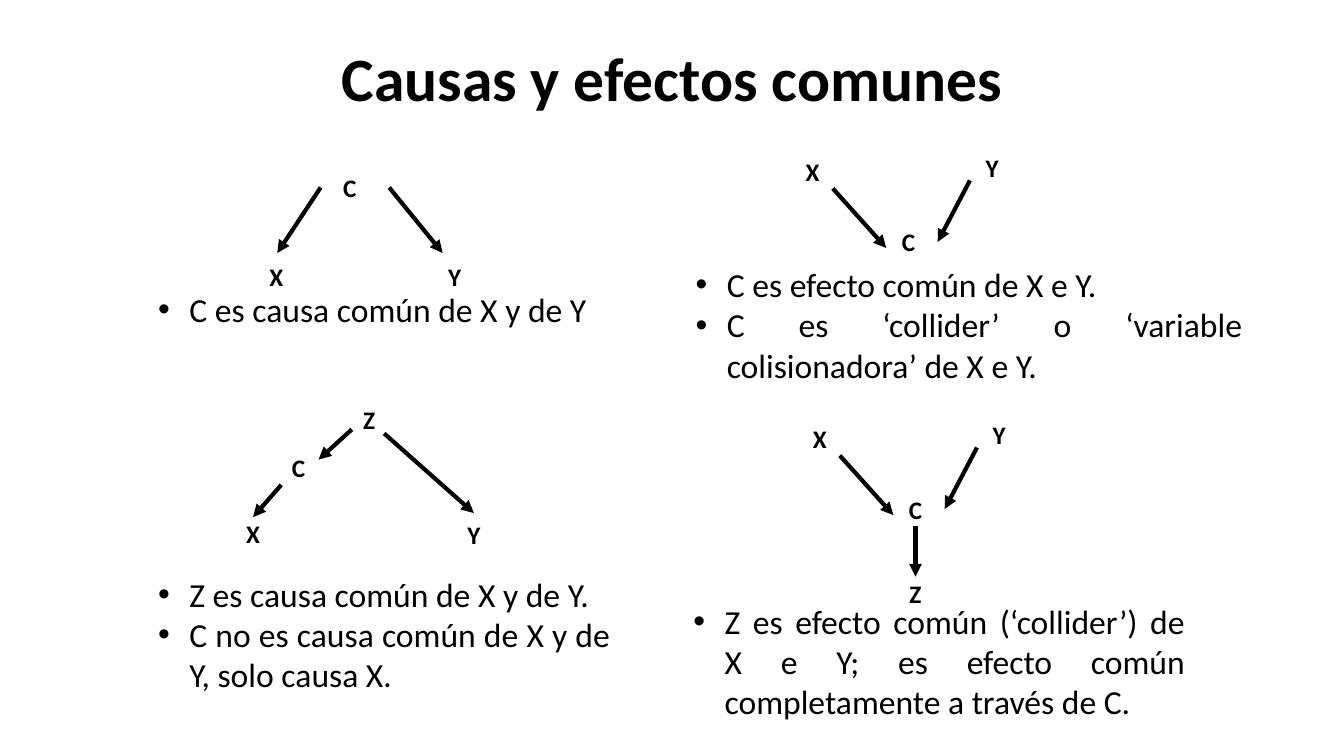
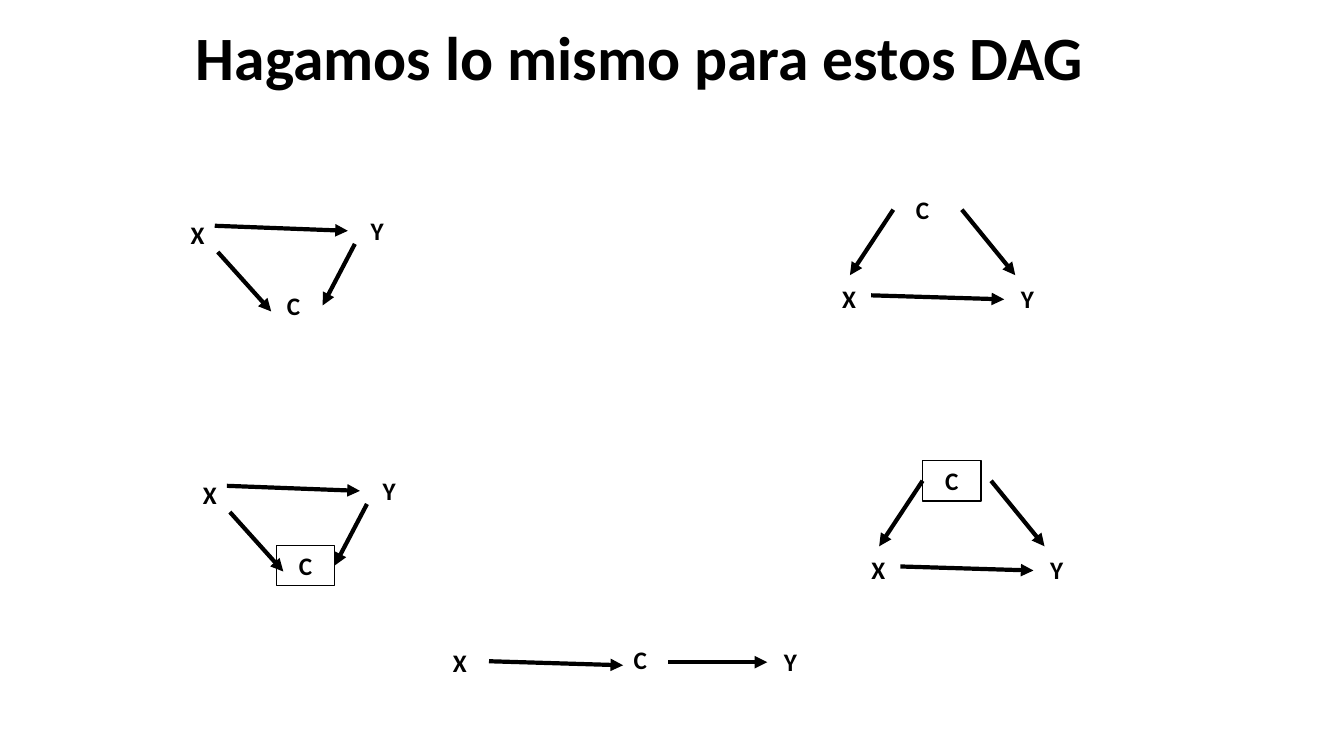
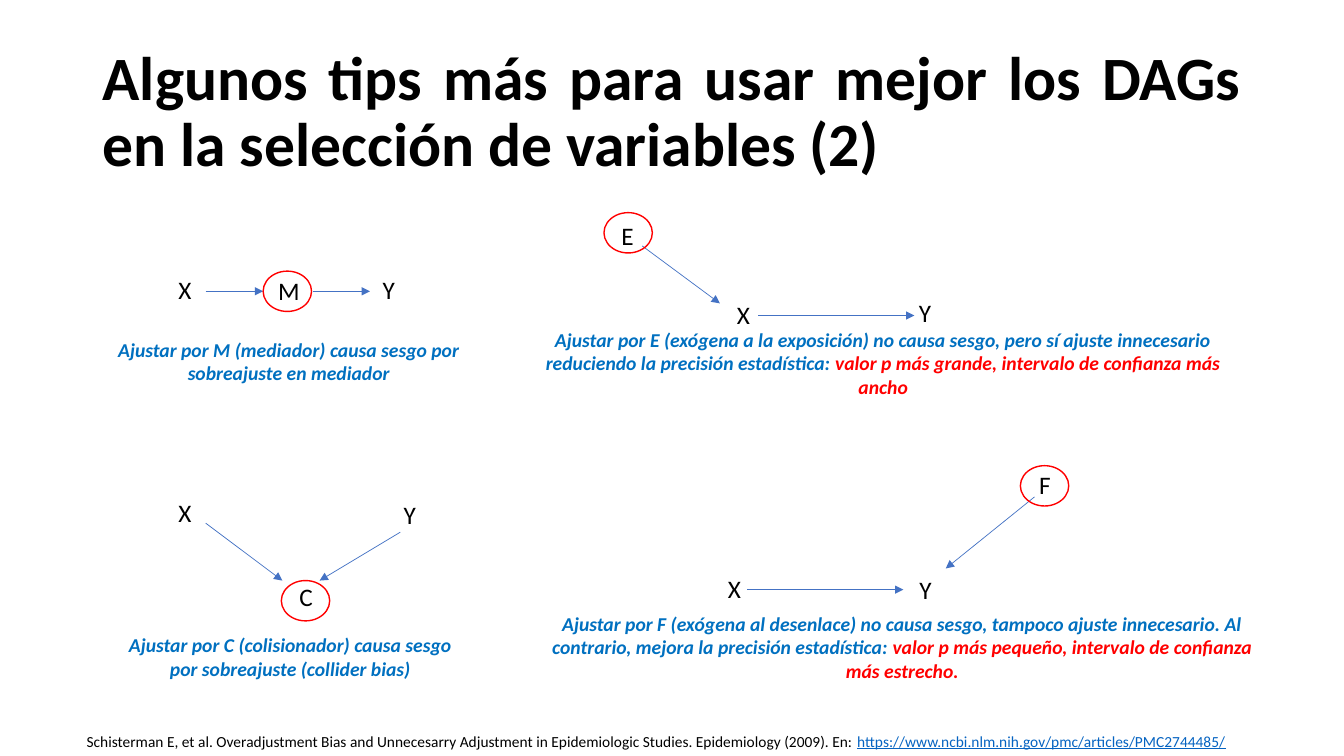
"""Build three slides on causal diagrams: common causes, common effects and adjustment."""
import pptx
import pptx.util
import pptx.dml.color
import pptx.enum.shapes
import pptx.enum.text
import pptx.oxml
import pptx.oxml.ns

PX = 9144
FONT = "Calibri"
BLACK, WHITE, RED = "000000", "FFFFFF", "FF0000"
BLUE, NOTE, LINK = "4472C4", "0070C0", "0563C1"
LABEL_W, LABEL_H = 58, 40
ALIGN = pptx.enum.text.PP_ALIGN
SHAPE = pptx.enum.shapes.MSO_SHAPE
rgb = pptx.dml.color.RGBColor.from_string
qn = pptx.oxml.ns.qn


def add_text(s, box, paras, size=18, bold=False, italic=False, align=ALIGN.CENTER, bullet=False):
    sp = s.shapes.add_textbox(*[v * PX for v in box])
    tf = sp.text_frame
    tf.word_wrap = True
    tf.auto_size = pptx.enum.text.MSO_AUTO_SIZE.SHAPE_TO_FIT_TEXT
    for i, runs in enumerate(paras):
        p = tf.paragraphs[0] if i == 0 else tf.add_paragraph()
        p.alignment = align
        if bullet:
            pPr = p._p.get_or_add_pPr()
            pPr.set("marL", str(31 * PX))
            pPr.set("indent", str(-31 * PX))
            pPr.append(pPr.makeelement(qn("a:buFont"), {"typeface": "Arial"}))
            pPr.append(pPr.makeelement(qn("a:buChar"), {"char": "•"}))
        for text, color in runs:
            r = p.add_run()
            r.text = text
            r.font.name = FONT
            r.font.size = pptx.util.Pt(size)
            r.font.bold = bold
            r.font.italic = italic
            r.font.color.rgb = rgb(color)
            if color == LINK:
                r.font.underline = True
    return sp


def add_arrow(s, x1, y1, x2, y2, color=BLACK, width=3):
    cx = s.shapes.add_connector(
        pptx.enum.shapes.MSO_CONNECTOR.STRAIGHT, x1 * PX, y1 * PX, x2 * PX, y2 * PX)
    cx.line.color.rgb = rgb(color)
    cx.line.width = pptx.util.Pt(width)
    ln = cx.line._get_or_add_ln()
    ln.append(ln.makeelement(qn("a:tailEnd"), {"type": "triangle"}))
    spPr = cx._element.spPr
    spPr.append(spPr.makeelement(qn("a:effectLst"), {}))


prs = pptx.Presentation()
prs.slide_width = 1333 * PX
prs.slide_height = 750 * PX

titles = [
    ("Causas y efectos comunes", 92, 8, ALIGN.CENTER),
    ("Hagamos lo mismo para estos DAG", 60, -12, ALIGN.CENTER),
    ("Algunos tips más para usar mejor los DAGs en la selección de variables (2)",
     92, 40, ALIGN.JUSTIFY),
]
slides = []
for title, x, y, align in titles:
    s = prs.slides.add_slide(prs.slide_layouts[6])
    sp = add_text(s, (x, y, 1150, 145), [[(title, BLACK)]], size=44, bold=True, align=align)
    tf = sp.text_frame
    tf.auto_size = pptx.enum.text.MSO_AUTO_SIZE.NONE
    tf.vertical_anchor = pptx.enum.text.MSO_ANCHOR.MIDDLE
    tf.paragraphs[0].line_spacing = 0.9
    slides.append(s)
common, practice, tips = slides

fork_nodes = [("C", 0, 0), ("X", -73, 88), ("Y", 104, 88)]
fork_arrows = [(0, 20, -43, 85), (68, 20, 121, 85)]
collider_nodes = [("C", 0, 0), ("X", -95, -70), ("Y", 83, -74)]
collider_arrows = [(-46, -33, 7, 26), (90, -41, 58, 20)]
fork_xy = fork_arrows + [(-22, 105, 110, 109)]
collider_xy = collider_arrows + [(-49, -59, 83, -54)]
split_nodes = [("C", 0, 0), ("X", -45, 65), ("Y", 174, 66), ("Z", 70, -48)]
split_arrows = [(12, 37, -16, 69), (114, -14, 203, 65), (82, -18, 49, 12)]
descent_nodes = collider_nodes + [("Z", 0, 84)]
descent_arrows = collider_arrows + [(29, 37, 29, 87)]
chain_nodes = [("C", 0, 0), ("X", -179, 3), ("Y", 149, 2)]
chain_arrows = [(57, 23, 155, 23), (-121, 22, 12, 26)]

graphs = [
    (common, 318, 166, fork_nodes, fork_arrows, False),
    (common, 872, 220, collider_nodes, collider_arrows, False),
    (common, 267, 444, split_nodes, split_arrows, False),
    (common, 879, 485, descent_nodes, descent_arrows, False),
    (practice, 886, 188, fork_nodes, fork_xy, False),
    (practice, 262, 283, collider_nodes, collider_xy, False),
    (practice, 915, 457, fork_nodes, fork_xy, True),
    (practice, 274, 541, collider_nodes, collider_xy, True),
    (practice, 606, 634, chain_nodes, chain_arrows, False),
]
for s, x, y, nodes, arrows, boxed in graphs:
    for name, dx, dy in nodes:
        sp = add_text(s, (x + dx, y + dy, LABEL_W, LABEL_H), [[(name, BLACK)]], bold=True)
        if boxed and name == "C":
            sp.fill.solid()
            sp.fill.fore_color.rgb = rgb(WHITE)
            sp.line.color.rgb = rgb(BLACK)
            sp.line.width = pptx.util.Pt(1)
    for x1, y1, x2, y2 in arrows:
        add_arrow(s, x + x1, y + y1, x + x2, y + y2)

bullets = [
    ((147, 282, 468, 50), ["C es causa común de X y de Y"]),
    ((680, 257, 562, 131), ["C es efecto común de X e Y.",
                            "C es ‘collider’ o ‘variable colisionadora’ de X e Y."]),
    ((147, 564, 468, 131), ["Z es causa común de X y de Y.",
                            "C no es causa común de X y de Y, solo causa X."]),
    ((678, 591, 507, 131), ["Z es efecto común (‘collider’) de X e Y; "
                            "es efecto común completamente a través de C."]),
]
for box, lines in bullets:
    add_text(common, box, [[(line, BLACK)] for line in lines],
             size=24, align=ALIGN.JUSTIFY, bullet=True)

labels = [
    ("X", 132, 267, 103), ("M", 235, 268, 103), ("Y", 334, 267, 103),
    ("X", 132, 488, 103), ("Y", 355, 490, 103), ("C", 252, 572, 103),
    ("E", 571, 214, 103), ("X", 686, 292, 103), ("Y", 889, 290, 57),
    ("F", 985, 461, 103), ("X", 677, 564, 103), ("Y", 896, 565, 44),
]
for name, x, y, w in labels:
    add_text(tips, (x, y, w, LABEL_H), [[(name, BLACK)]])

tip_arrows = [
    (204, 289, 261, 289), (310, 289, 367, 289),
    (204, 519, 280, 576), (397, 528, 317, 576),
    (637, 244, 714, 301), (752, 313, 907, 313),
    (1026, 493, 938, 564), (741, 585, 896, 585),
]
for ends in tip_arrows:
    add_arrow(tips, *ends, color=BLUE, width=0.5)

for x, y in [(261, 269), (279, 576), (599, 211), (1012, 462)]:
    sp = tips.shapes.add_shape(SHAPE.OVAL, x * PX, y * PX, 48 * PX, 40 * PX)
    sp.shadow.inherit = False
    sp.fill.background()
    sp.line.color.rgb = rgb(RED)
    sp.line.width = pptx.util.Pt(1)

notes = [
    ((107, 330, 359, 57),
     [("Ajustar por M (mediador) causa sesgo por sobreajuste en mediador", NOTE)]),
    ((107, 623, 362, 57),
     [("Ajustar por C (colisionador) causa sesgo por sobreajuste (collider bias)", NOTE)]),
    ((517, 320, 718, 81),
     [("Ajustar por E (exógena a la exposición) no causa sesgo, pero sí ajuste innecesario "
       "reduciendo la precisión estadística: ", NOTE),
      ("valor p más grande, intervalo de confianza más ancho", RED)]),
    ((536, 602, 718, 81),
     [("Ajustar por F (exógena al desenlace) no causa sesgo, tampoco ajuste innecesario. "
       "Al contrario, mejora la precisión estadística: ", NOTE),
      ("valor p más pequeño, intervalo de confianza más estrecho.", RED)]),
]
for box, runs in notes:
    add_text(tips, box, [runs], size=14, bold=True, italic=True)

citation = [
    ("Schisterman E, et al. Overadjustment Bias and Unnecesarry Adjustment in Epidemiologic "
     "Studies. Epidemiology (2009). En: ", BLACK),
    ("https://www.ncbi.nlm.nih.gov/pmc/articles/PMC2744485/", LINK),
]
add_text(tips, (76, 721, 1159, 29), [citation], size=11, align=ALIGN.LEFT)

prs.save("out.pptx")
